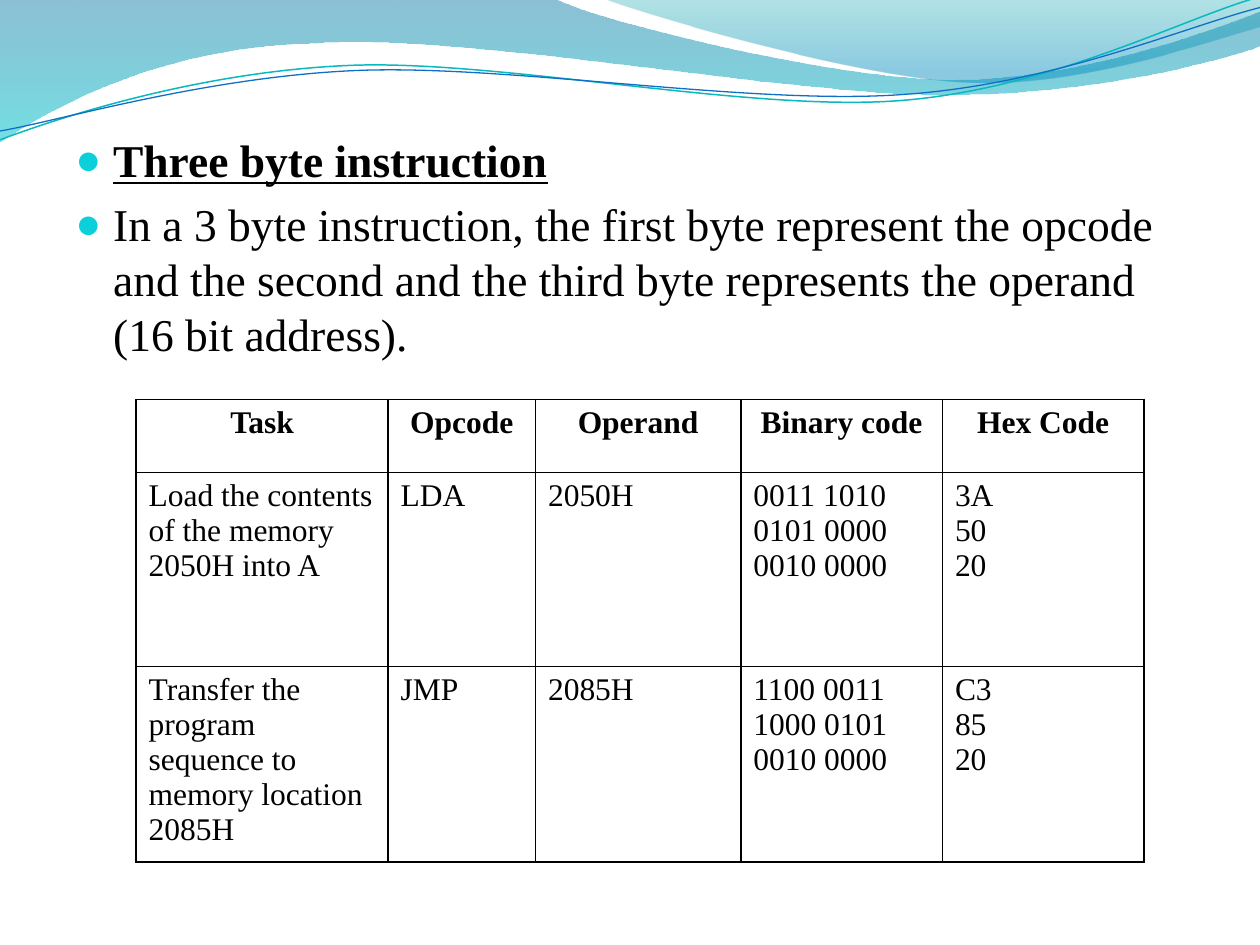
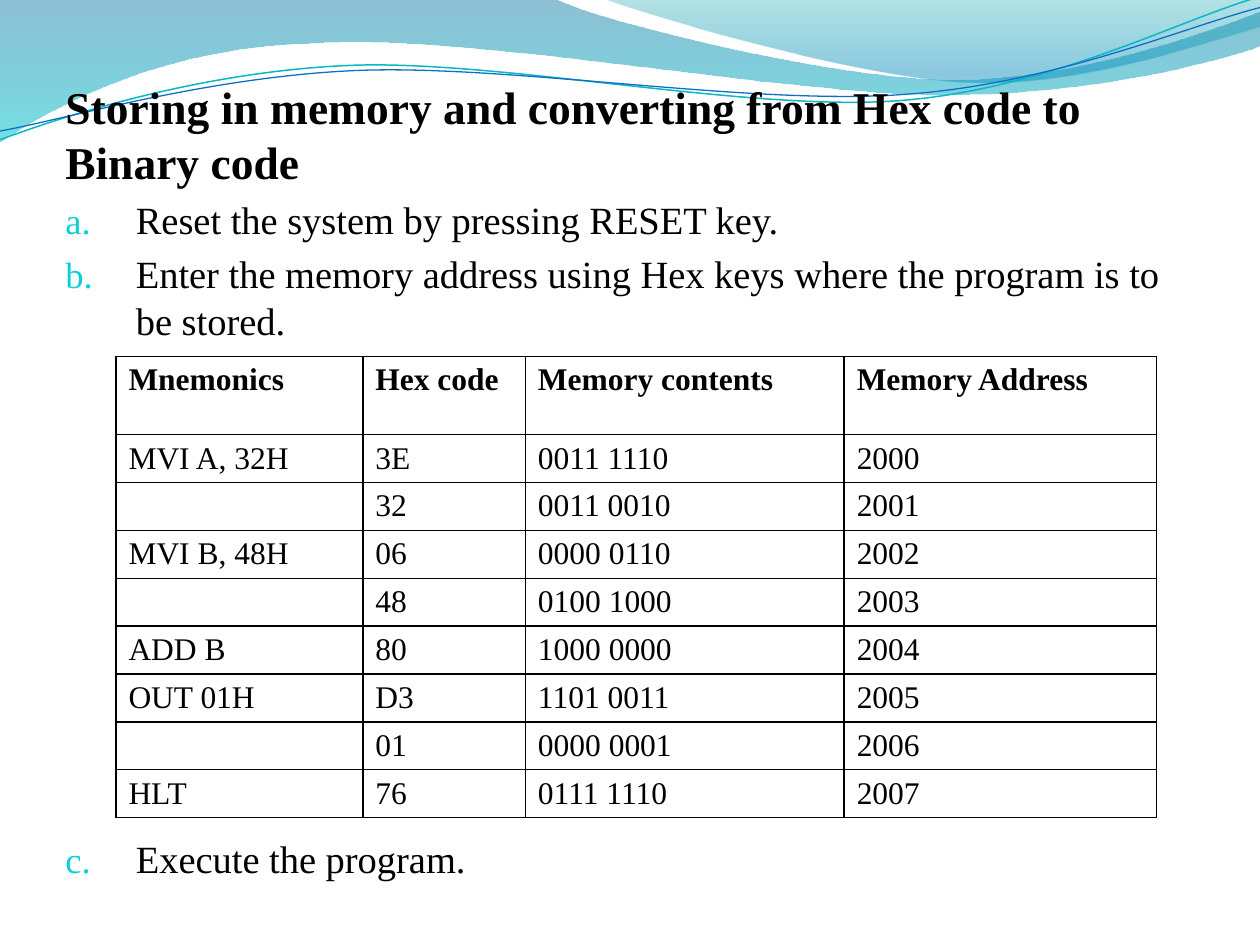
"""Build two slides on instruction formats, each with a wave band and a table."""
from dataclasses import dataclass

from lxml import etree
from pptx import Presentation
from pptx.dml.color import RGBColor
from pptx.enum.text import PP_ALIGN
from pptx.oxml.ns import qn
from pptx.util import Inches, Pt

LEFT, MID = PP_ALIGN.LEFT, PP_ALIGN.CENTER


@dataclass(frozen=True)
class Theme:
    font: str = "Times New Roman"
    ink: str = "000000"
    mark: str = "0BD0D9"
    head: tuple = (26, 31.2, 5.4)
    step: tuple = (22, 27, 3.8)
    cell: int = 18
    rule: int = 1
    wide: tuple = ((0, "0074A1", 45), (1, "00C6CF", 55))
    side: tuple = ((0, "00A1A9", 30), (0.8, "008BBF", 45))
    teal: tuple = ("0AB8BF", 0.85)
    blue: tuple = ("0F6FC6", 0.75)


WIDE = [(0, 0), (4.4, -0.01),
        (4.76, 0.17, 6.64, 0.63, 7.58, 0.63),
        (8.53, 0.63, 9.58, 0.26, 10, 0.09), (10.01, 0.36),
        (9.83, 0.44, 8.7, 0.76, 7.46, 0.75),
        (6.22, 0.75, 3.82, 0.28, 2.57, 0.34),
        (1.29, 0.36, 0.46, 0.83, -0.01, 1.13)]
SIDE = [(4.79, -0.01), (5.09, 0.11, 6.82, 0.62, 7.69, 0.65),
        (8.56, 0.69, 9.61, 0.32, 10, 0.21), (10, 0)]
TEAL = [(0, 1.11), (0.48, 0.93, 1.58, 0.57, 2.77, 0.52),
        (3.95, 0.47, 5.93, 0.89, 7.13, 0.8),
        (8.33, 0.71, 9.38, 0.15, 9.98, -0.02)]
BLUE = [(0, 1.04), (0.47, 0.96, 1.64, 0.61, 2.83, 0.56),
        (4.03, 0.51, 5.97, 0.84, 7.17, 0.75),
        (8.36, 0.67, 9.41, 0.21, 10, 0.06)]

TASKS = [
    "Task|Opcode|Operand|Binary code|Hex Code",
    "Load the contents of the memory 2050H into A|LDA|2050H|"
    "0011 1010\n0101 0000\n0010 0000|3A\n50\n20",
    "Transfer the program sequence to memory location 2085H|JMP|2085H|"
    "1100 0011\n1000 0101\n0010 0000|C3\n85\n20",
]
CODES = [
    "Mnemonics|Hex code|Memory contents|Memory Address",
    "MVI A, 32H|3E|0011 1110|2000",
    "|32|0011 0010|2001",
    "MVI B, 48H|06|0000 0110|2002",
    "|48|0100 1000|2003",
    "ADD B|80|1000 0000|2004",
    "OUT 01H|D3|1101 0011|2005",
    "|01|0000 0001|2006",
    "HLT|76|0111 1110|2007",
]


def add(node, tag, **attrs):
    """Append a child element with the given attributes."""
    return etree.SubElement(node, qn(tag),
                            {k: str(v) for k, v in attrs.items()})


class Deck:
    """Hold the theme and the current slide."""

    def __init__(self, theme):
        self.look = theme
        self.prs = Presentation()
        self.prs.slide_width = Inches(10)
        self.prs.slide_height = Inches(7.5)
        self.page = None

    def new(self):
        """Start a slide with the wave band."""
        self.page = self.prs.slides.add_slide(self.prs.slide_layouts[6])
        self.band(WIDE, self.look.wide)
        self.band(SIDE, self.look.side)
        self.wave(TEAL, self.look.teal)
        self.wave(BLUE, self.look.blue)

    def form(self, path, close):
        """Draw an outline whose six-number parts become cubic curves."""
        dots = [(Inches(part[i]), Inches(part[i + 1]))
                for part in path for i in range(0, len(part), 2)]
        pen = self.page.shapes.build_freeform(*dots[0])
        pen.add_line_segments(dots[1:], close=close)
        shape = pen.convert_to_shape()
        shape.shadow.inherit = False
        lines = iter(list(shape._element.spPr.iter(qn("a:lnTo"))))
        for part in path[1:]:
            line = next(lines)
            if len(part) == 6:
                line.addprevious(curve := etree.Element(qn("a:cubicBezTo")))
                for node in (line, next(lines), next(lines)):
                    curve.append(node[0])
                    node.getparent().remove(node)
        return shape

    def band(self, path, stops):
        """Draw a see-through area shaded from top to bottom."""
        shape = self.form(path, True)
        shape.line.fill.background()
        shape.fill.gradient()
        shape.fill.gradient_angle = 270
        for stop, (place, tint, _) in zip(shape.fill.gradient_stops, stops):
            stop.position = place
            stop.color.rgb = RGBColor.from_string(tint)
        tints = shape._element.spPr.iter(qn("a:srgbClr"))
        for node, (_, _, alpha) in zip(list(tints), stops):
            add(node, "a:alpha", val=alpha * 1000)

    def wave(self, path, style):
        """Draw a thin curved line."""
        shape = self.form(path, False)
        shape.fill.background()
        shape.line.color.rgb = RGBColor.from_string(style[0])
        shape.line.width = Pt(style[1])

    def ink(self, para, size, bold, under=False):
        """Format the runs and the end of a paragraph."""
        for run in para.runs:
            font = run.font
            font.name, font.size = self.look.font, Pt(size)
            font.bold, font.underline = bold, under
            font.color.rgb = RGBColor.from_string(self.look.ink)
        end = add(para._p, "a:endParaRPr", sz=size * 100)
        add(end, "a:latin", typeface=self.look.font)

    def box(self, x, y, w, h):
        """Add a wrapping text frame."""
        frame = self.page.shapes.add_textbox(
            Inches(x), Inches(y), Inches(w), Inches(h)).text_frame
        frame.word_wrap = True
        return frame

    def para(self, frame, text, style, bold=False, under=False,
             mark=None, gap=None):
        """Add a paragraph, with a dot or a letter when marked."""
        first = frame.paragraphs[0]
        para = frame.add_paragraph() if first.runs else first
        para.text = text
        size, line, space = style
        para.line_spacing, para.space_before = Pt(line), Pt(gap or space)
        self.ink(para, size, bold, under)
        if not mark:
            return
        props = para._p.get_or_add_pPr()
        indent = Inches(0.3 if mark == "dot" else 0.56)
        props.set("marL", str(indent))
        props.set("indent", str(-indent))
        add(add(props, "a:buClr"), "a:srgbClr", val=self.look.mark)
        add(props, "a:buSzPct", val=95000)
        add(props, "a:buFont", typeface=self.look.font)
        if mark == "dot":
            add(props, "a:buChar", char="●")
        else:
            add(props, "a:buAutoNum", type="alphaLcPeriod")

    def edge(self, cell):
        """Rule all four sides of a cell and clear its fill."""
        props = cell._tc.get_or_add_tcPr()
        for side in "LRTB":
            line = add(props, f"a:ln{side}", w=Pt(self.look.rule))
            add(add(line, "a:solidFill"), "a:srgbClr", val=self.look.ink)
        cell.fill.background()
        cell.margin_bottom = 0

    def grid(self, x, y, cols, tall, rows, align=LEFT):
        """Add a ruled table whose first row is bold."""
        high = [tall[0]] + [tall[1]] * (len(rows) - 1)
        table = self.page.shapes.add_table(
            len(rows), len(cols), Inches(x), Inches(y),
            Inches(sum(cols)), Inches(sum(high))).table
        table.first_row = table.horz_banding = False
        for col, w in zip(table.columns, cols):
            col.width = Inches(w)
        for r, (row, h) in enumerate(zip(rows, high)):
            table.rows[r].height = Inches(h)
            for c, text in enumerate(row.split("|")):
                cell = table.cell(r, c)
                cell.text_frame.text = text
                self.edge(cell)
                for para in cell.text_frame.paragraphs:
                    para.alignment = LEFT if r else align
                    self.ink(para, self.look.cell, r == 0)


def main():
    """Build and save both slides."""
    look = Theme()
    deck = Deck(look)

    deck.new()
    body = deck.box(0.5, 1, 9, 5.92)
    deck.para(body, "Three byte instruction", look.head, True, True, "dot")
    deck.para(body, "In a 3 byte instruction, the first byte represent the "
              "opcode and the second and the third byte represents the "
              "operand (16 bit address).", look.head, mark="dot")
    deck.grid(1.08, 3.17, [2, 1.17, 1.63, 1.6, 1.6], (0.58, 1.54),
              TASKS, MID)

    deck.new()
    body = deck.box(0.42, 0.58, 9.08, 6.92)
    deck.para(body, "Storing in memory and converting from Hex code to "
              "Binary code", look.head, True)
    deck.para(body, "Reset the system by pressing RESET key.",
              look.step, mark="letter")
    deck.para(body, "Enter the memory address using Hex keys where the "
              "program is to be stored.", look.step, mark="letter")
    deck.para(body, "Execute the program.", look.step, mark="letter", gap=280)
    deck.grid(0.92, 2.83, [1.96, 1.29, 2.53, 2.48], (0.62, 0.38), CODES)

    deck.prs.save("out.pptx")


if __name__ == "__main__":
    main()
